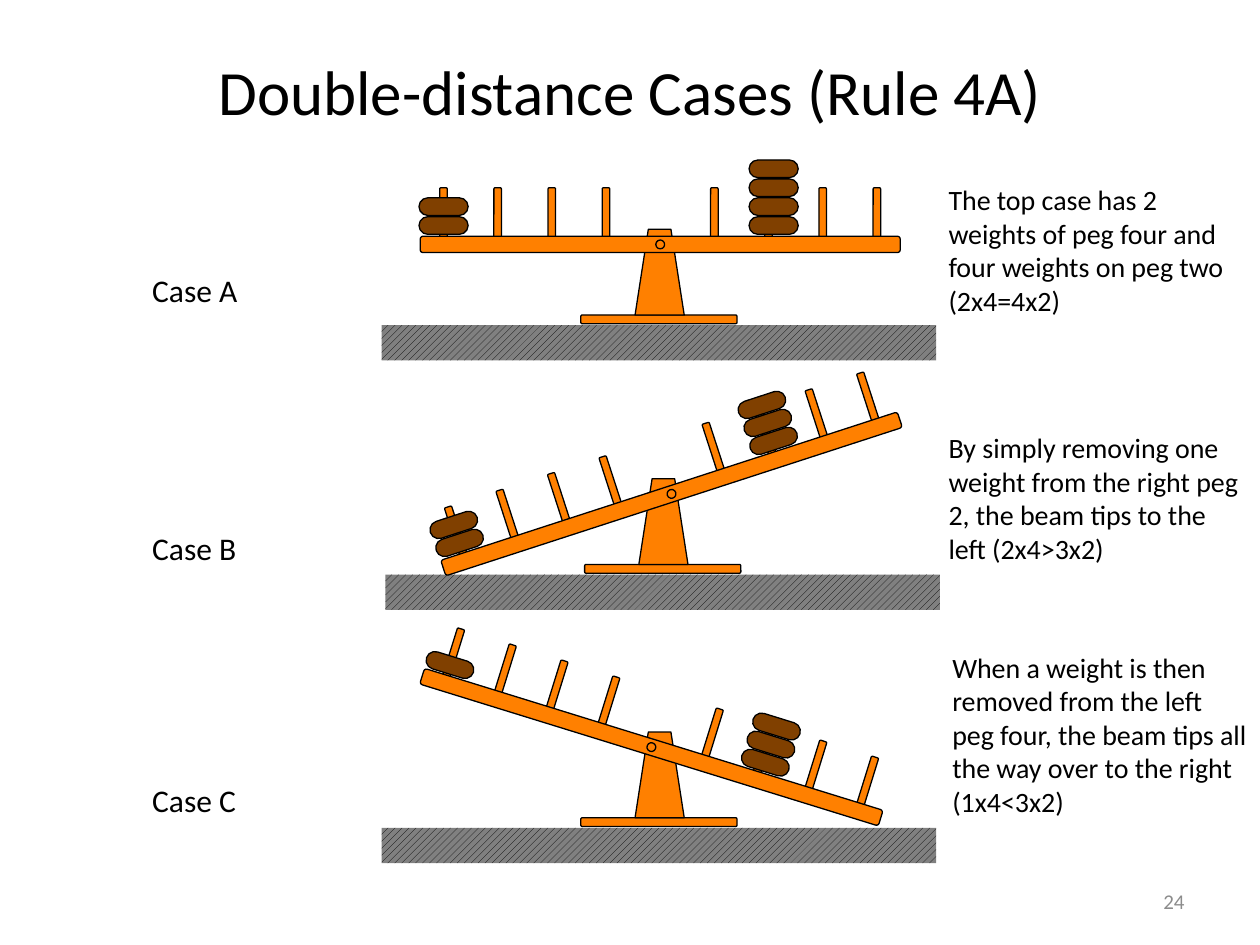
import math

import pptx
import pptx.dml.color
import pptx.enum.dml
import pptx.enum.shapes
import pptx.enum.text
import pptx.util

PX = 9144  # EMU in one px, 100 px to the inch
SHAPE = pptx.enum.shapes.MSO_SHAPE
ALIGN = pptx.enum.text.PP_ALIGN
ANCHOR = pptx.enum.text.MSO_ANCHOR
AUTO = pptx.enum.text.MSO_AUTO_SIZE

ORANGE, BROWN, GREY, BLACK = "FF8000", "804000", "808080", "000000"
PEG_GAP = 43
PEG_RISE = 24
WEIGHT_GAP = 15
LEFT_STACK, RIGHT_STACK = -172, 90

# scale box, pivot x in the box, tilt, weights left and right, label and note boxes
CASES = [
    {"box": (303, 128, 440, 158), "pivot": 221, "tilt": 0, "weights": (2, 4),
     "label": ("Case A", (111, 210, 88, 40)),
     "note": ("The top case has 2 weights of peg four and four weights on peg two "
              "(2x4=4x2)", (743, 140, 257, 118))},
    {"box": (306, 326, 440, 158), "pivot": 227, "tilt": -18, "weights": (2, 3),
     "label": ("Case B", (111, 415, 88, 40)),
     "note": ("By simply removing one weight from the right peg 2, the beam tips "
              "to the left (2x4>3x2)", (743, 337, 257, 118))},
    {"box": (303, 527, 440, 158), "pivot": 214, "tilt": 17.2, "weights": (1, 3),
     "label": ("Case C", (111, 615, 88, 40)),
     "note": ("When a weight is then removed from the left peg four, the beam tips "
              "all the way over to the right (1x4<3x2)", (746, 511, 254, 145))},
]


def emu(*lengths):
    return [pptx.util.Emu(round(length * PX)) for length in lengths]


def color(value):
    return pptx.dml.color.RGBColor.from_string(value)


def write(frame, text, size, tint=BLACK, align=ALIGN.LEFT, **frame_format):
    for name, value in frame_format.items():
        setattr(frame, name, value)
    para = frame.paragraphs[0]
    para.alignment = align
    span = para.add_run()
    span.text = text
    span.font.color.rgb = color(tint)
    for name, value in {"name": "Calibri", "size": pptx.util.Pt(size)}.items():
        setattr(span.font, name, value)


def add_text(page, box, text, size, **formats):
    write(page.shapes.add_textbox(*emu(*box)).text_frame, text, size, **formats)


def add_part(group, kind, box, fill=ORANGE, corner=None, tilt=0):
    """Add one outlined piece of the scale."""
    part = group.shapes.add_shape(kind, *emu(*box))
    part.shadow.inherit = False
    part.rotation = tilt
    part.fill.solid()
    part.fill.fore_color.rgb = color(fill)
    part.line.color.rgb = color(BLACK)
    part.line.width = pptx.util.Pt(0.75)
    if corner is not None:
        part.adjustments[0] = corner
    return part


def add_stand(group, left, top):
    add_part(group, SHAPE.ROUNDED_RECTANGLE, (left + 158, top + 122, 124, 7), corner=0.17)
    add_part(group, SHAPE.TRAPEZOID, (left + 201, top + 54, 39, 68), corner=0.27)
    ground = add_part(group, SHAPE.RECTANGLE, (left, top + 130, 440, 28))
    ground.line.fill.background()
    ground.fill.patterned()
    ground.fill.pattern = pptx.enum.dml.MSO_PATTERN.WIDE_UPWARD_DIAGONAL
    ground.fill.fore_color.rgb = color(BLACK)
    ground.fill.back_color.rgb = color(GREY)


def add_beam(group, pivot_x, pivot_y, tilt, weights):
    """Add the beam with its pegs and weights, turned about the pivot."""
    sine, cosine = math.sin(math.radians(tilt)), math.cos(math.radians(tilt))

    def place(kind, along, rise, width, height, fill=ORANGE, corner=None):
        x = pivot_x + along * cosine + rise * sine
        y = pivot_y + along * sine - rise * cosine
        box = (x - width / 2, y - height / 2, width, height)
        add_part(group, kind, box, fill, corner, tilt)

    for side in (-1, 1):
        for peg in range(1, 5):
            place(SHAPE.ROUNDED_RECTANGLE, side * peg * PEG_GAP, PEG_RISE, 6, 42, corner=0.17)
    place(SHAPE.ROUNDED_RECTANGLE, 0, 0, 381, 13, corner=0.17)
    for along, count in zip((LEFT_STACK, RIGHT_STACK), weights):
        for level in range(1, count + 1):
            place(SHAPE.ROUNDED_RECTANGLE, along, level * WEIGHT_GAP, 39, 14, BROWN, 0.5)
    place(SHAPE.OVAL, 0, 0, 7, 7)


def add_scale(page, box, pivot, tilt, weights):
    left, top = box[:2]
    group = page.shapes.add_group_shape()
    add_stand(group, left, top)
    add_beam(group, left + pivot, top + 66, tilt, weights)


def add_case(page, case):
    add_scale(page, case["box"], case["pivot"], case["tilt"], case["weights"])
    label, label_box = case["label"]
    add_text(page, label_box, label, 18, word_wrap=False, auto_size=AUTO.SHAPE_TO_FIT_TEXT)
    note, note_box = case["note"]
    add_text(page, note_box, note, 16, word_wrap=True, auto_size=AUTO.SHAPE_TO_FIT_TEXT)


def add_title(page, box, text):
    title = page.shapes.title
    for name, value in zip(("left", "top", "width", "height"), emu(*box)):
        setattr(title, name, value)
    write(title.text_frame, text, 36, align=ALIGN.CENTER, word_wrap=True,
          auto_size=AUTO.NONE, vertical_anchor=ANCHOR.MIDDLE)


def main():
    deck = pptx.Presentation()
    deck.slide_width, deck.slide_height = emu(1000, 750)
    page = deck.slides.add_slide(deck.slide_layouts[5])
    add_title(page, (50, 30, 900, 83), "Double-distance Cases (Rule 4A)")
    for case in CASES:
        add_case(page, case)
    add_text(page, (717, 695, 233, 40), "24", 12, tint="8C8C8C", align=ALIGN.RIGHT,
             word_wrap=True, vertical_anchor=ANCHOR.MIDDLE)
    deck.save("out.pptx")


if __name__ == "__main__":
    main()
